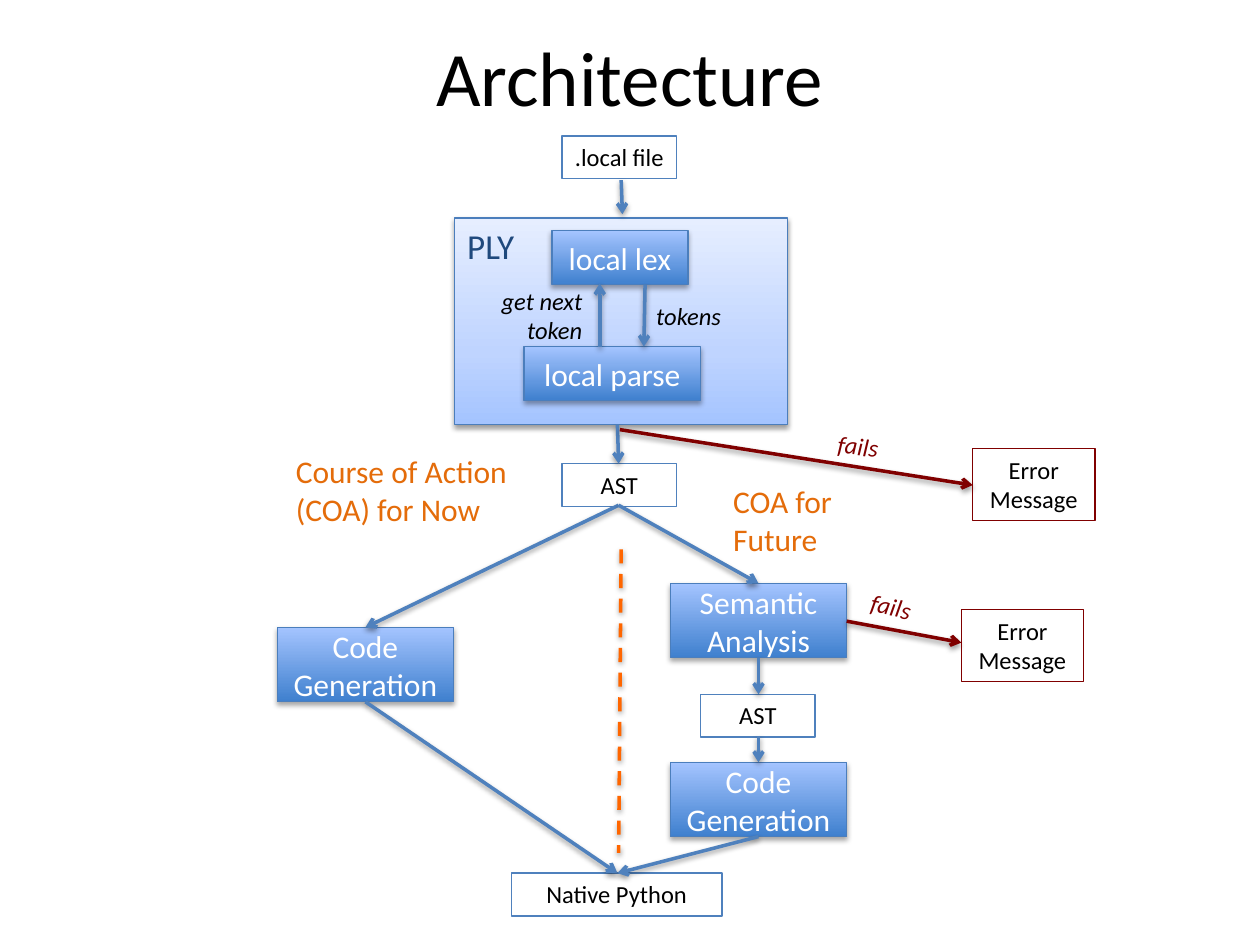
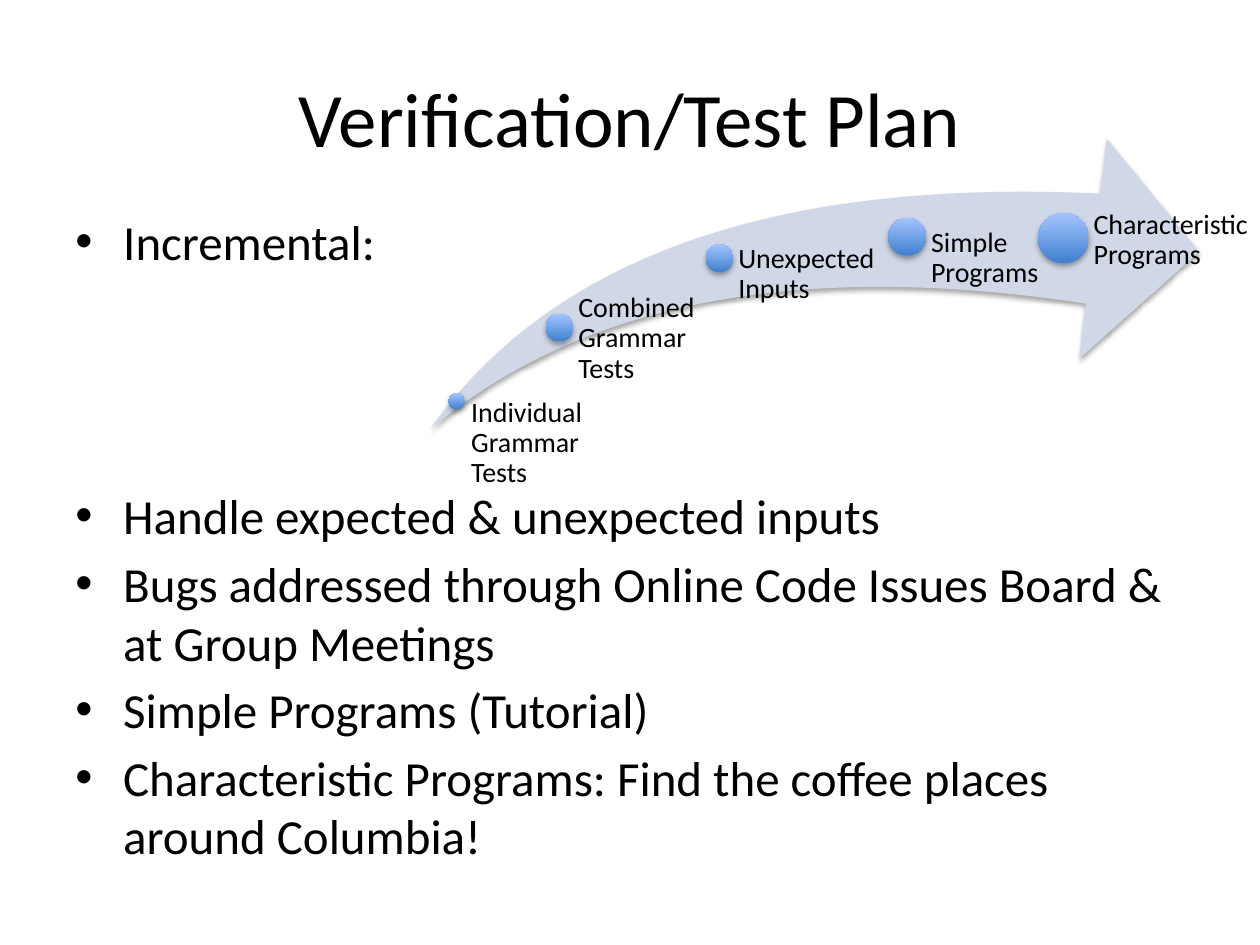
from dataclasses import dataclass

from lxml.etree import SubElement
from pptx import Presentation
from pptx.dml.color import RGBColor
from pptx.enum.dml import MSO_LINE
from pptx.enum.shapes import MSO_CONNECTOR, MSO_SHAPE
from pptx.enum.text import MSO_ANCHOR as ANCHOR, MSO_AUTO_SIZE, PP_ALIGN as ALIGN
from pptx.oxml.ns import qn
from pptx.util import Inches, Pt


@dataclass(frozen=True)
class Theme:
    font: str = "Calibri"
    black: str = "000000"
    white: str = "FFFFFF"
    navy: str = "1F497D"
    blue: str = "4F81BD"
    edge: str = "4B7EBC"
    red: str = "800000"
    orange: str = "E46C0A"
    divider: str = "FF6600"
    swoosh: str = "D0D8E8"
    deep: tuple = ((0, "3F80CE"), (100, "A4C4FF"))
    pale: tuple = ((0, "A4C4FF"), (35, "BFD4FF"), (100, "E6EEFF"))
    title: int = 44
    bullet: int = 28
    panel: int = 20
    step: int = 18
    stage: int = 16
    note: int = 14
    thin: float = 0.75
    thick: float = 2
    soft_shadow: tuple = (38, 1.6)    # opacity %, distance in points
    box_shadow: tuple = (35, 1.8)


THEME = Theme()


class Builder:
    """Holds the theme, the deck and the page being drawn."""

    def __init__(self, theme):
        self.theme = theme
        self.deck = Presentation()
        self.deck.slide_width, self.deck.slide_height = Inches(10), Inches(7.5)
        self.page = None

    def new_page(self, title, top, height):
        self.page = self.deck.slides.add_slide(self.deck.slide_layouts[6])
        self.label((0.5, top, 9, height), [title], size=self.theme.title,
                   align=ALIGN.CENTER, anchor=ANCHOR.MIDDLE, grow=False)

    # Text
    def set_text(self, shape, lines, size, color, align=ALIGN.LEFT,
                 anchor=ANCHOR.TOP, italic=False, spacing=None):
        frame = shape.text_frame
        frame.word_wrap = True
        frame.vertical_anchor = anchor
        for number, line in enumerate(lines):
            para = frame.add_paragraph() if number else frame.paragraphs[0]
            para.alignment = align
            para.line_spacing = spacing
            span = para.add_run()
            span.text = line
            span.font.name = self.theme.font
            span.font.size = Pt(size)
            span.font.italic = italic
            span.font.color.rgb = RGBColor.from_string(color)
        return frame

    def label(self, place, lines, size, color=THEME.black, turn=0,
              grow=True, **style):
        box = self.page.shapes.add_textbox(*map(Inches, place))
        box.rotation = turn
        frame = self.set_text(box, lines, size, color, **style)
        if grow:
            frame.auto_size = MSO_AUTO_SIZE.SHAPE_TO_FIT_TEXT
        return frame

    def bullets(self, place, lines, gaps):
        frame = self.label(place, lines, self.theme.bullet, grow=False)
        for para, gap in zip(frame.paragraphs, gaps):
            para.space_before = Pt(gap)
            props = para._p.get_or_add_pPr()
            props.set("marL", str(Inches(0.38)))
            props.set("indent", str(Inches(-0.38)))
            SubElement(props, qn("a:buFont")).set("typeface", "Arial")
            SubElement(props, qn("a:buChar")).set("char", "\u2022")

    # Shapes
    def shape(self, kind, place, fill=None, line=None, shadow=None, turn=0):
        box = self.page.shapes.add_shape(kind, *map(Inches, place))
        box.rotation = turn
        box.shadow.inherit = False
        if fill is None:
            box.fill.background()
        elif isinstance(fill, str):
            box.fill.solid()
            box.fill.fore_color.rgb = RGBColor.from_string(fill)
        else:
            self.gradient(box, fill)
        if line:
            box.line.color.rgb = RGBColor.from_string(line)
            box.line.width = Pt(self.theme.thin)
        else:
            box.line.fill.background()
        if shadow:
            self.cast_shadow(box, shadow)
        return box

    def gradient(self, box, colors):
        box.fill.gradient()
        box.fill.gradient_angle = 90
        stops = box.element.spPr.find(".//" + qn("a:gsLst"))
        stops.clear()
        for position, color in colors:
            stop = SubElement(stops, qn("a:gs"), pos=str(position * 1000))
            SubElement(stop, qn("a:srgbClr"), val=color)

    def cast_shadow(self, item, shadow):
        opacity, distance = shadow
        props = item.element.spPr
        effects = props.find(qn("a:effectLst"))
        if effects is None:
            effects = SubElement(props, qn("a:effectLst"))
        outer = SubElement(effects, qn("a:outerShdw"), blurRad=str(Pt(3.1)),
                           dist=str(Pt(distance)), dir="5400000", rotWithShape="0")
        color = SubElement(outer, qn("a:srgbClr"), val=self.theme.black)
        SubElement(color, qn("a:alpha"), val=str(opacity * 1000))

    def panel(self, place, text):
        box = self.shape(MSO_SHAPE.RECTANGLE, place, self.theme.pale,
                         self.theme.edge, self.theme.soft_shadow)
        self.set_text(box, [text], self.theme.panel, self.theme.navy)

    def step(self, left, top, text, width=1.4, height=0.59):
        box = self.shape(MSO_SHAPE.RECTANGLE, (left, top, width, height),
                         self.theme.deep, self.theme.edge, self.theme.box_shadow)
        self.set_text(box, [text], self.theme.step, self.theme.white,
                      ALIGN.CENTER, ANCHOR.MIDDLE)

    def outcome(self, left, top, text, width=0.91, height=0.34, line=THEME.blue):
        box = self.shape(MSO_SHAPE.RECTANGLE, (left, top, width, height), line=line)
        frame = self.set_text(box, [text], self.theme.note, self.theme.black,
                              ALIGN.CENTER)
        frame.auto_size = MSO_AUTO_SIZE.SHAPE_TO_FIT_TEXT

    def dot(self, left, top, size):
        self.shape(MSO_SHAPE.OVAL, (left, top, size, size), self.theme.deep,
                   shadow=self.theme.box_shadow)

    # Lines
    def connect(self, start, end, color=THEME.blue, dashed=False):
        link = self.page.shapes.add_connector(
            MSO_CONNECTOR.STRAIGHT, *map(Inches, start + end))
        link.line.color.rgb = RGBColor.from_string(color)
        link.line.width = Pt(self.theme.thick)
        if dashed:
            link.line.dash_style = MSO_LINE.DASH
        else:
            stroke = link.element.spPr.find(qn("a:ln"))
            SubElement(stroke, qn("a:tailEnd"), type="arrow")
        self.cast_shadow(link, self.theme.soft_shadow)


def architecture(show):
    show.new_page("Architecture", 0.11, 0.98)

    # Lexer and parser panel
    show.panel((3.61, 1.73, 2.64, 1.64), "PLY")
    show.step(4.38, 1.83, "local lex", 1.08, 0.43)
    show.step(4.16, 2.75, "local parse", height=0.43)
    show.connect((5.12, 2.26), (5.11, 2.75))
    show.connect((4.76, 2.75), (4.76, 2.25))
    show.label((5.11, 2.34, 0.91, 0.34), ["tokens"], THEME.note, italic=True)
    show.label((3.7, 2.22, 1.02, 0.57), ["get next token"], THEME.note,
               italic=True, align=ALIGN.RIGHT)

    # Inputs, results and processing steps
    show.outcome(4.46, 1.08, ".local file")
    show.outcome(4.46, 3.68, "AST")
    show.outcome(5.56, 5.51, "AST")
    show.outcome(4.06, 6.93, "Native Python", 1.67)
    show.step(2.2, 4.98, "Code Generation")
    show.step(5.32, 4.63, "Semantic Analysis")
    show.step(5.32, 6.05, "Code Generation")

    # Flow, through the points where branches meet
    tree, result = (4.91, 4.01), (4.9, 6.93)
    middle = 6.02
    for start, end in (
        ((4.93, 1.43), (4.94, 1.7)),
        ((4.9, 3.37), (4.91, 3.68)),
        (tree, (2.9, 4.98)),
        ((2.9, 5.57), result),
        (tree, (middle, 4.63)),
        ((middle, 5.22), (middle, 5.51)),
        ((middle, 5.84), (middle, 6.05)),
        ((middle, 6.64), result),
    ):
        show.connect(start, end)

    # Present and future courses of action
    show.connect((4.93, 4.36), (4.91, 6.77), THEME.divider, dashed=True)
    show.label((2.25, 3.54, 1.93, 0.71), ["Course of Action (COA) for Now"],
               THEME.step, THEME.orange)
    show.label((5.72, 3.78, 2, 0.71), ["COA for", "Future"],
               THEME.step, THEME.orange)

    # Failures
    for start, end, box_top, note_at, turn in (
        ((4.92, 3.41), (7.72, 3.85), 3.56, (6.55, 3.39), 6.5),
        ((6.72, 4.93), (7.63, 5.1), 4.84, (6.81, 4.68), 12.5),
    ):
        show.connect(start, end, THEME.red)
        show.outcome(end[0], box_top, "Error Message", 0.97, 0.57, THEME.red)
        show.label(note_at + (0.84, 0.34), ["fails"], THEME.note, THEME.red,
                   turn, italic=True)


def test_plan(show):
    show.new_page("Verification/Test Plan", 0.3, 1.25)

    # The wide gap after the first bullet leaves room for the swoosh
    show.bullets((0.5, 1.63, 9, 5.44), [
        "Incremental:",
        "Handle expected & unexpected inputs",
        "Bugs addressed through Online Code Issues Board & at Group Meetings",
        "Simple Programs (Tutorial)",
        "Characteristic Programs: Find the coffee places around Columbia!",
    ], gaps=(0, 123, 5, 5, 5))

    # Swoosh with growing stages
    arrow = show.shape(MSO_SHAPE.SWOOSH_ARROW, (3.75, 0.61, 5.6, 3.5),
                       THEME.swoosh, shadow=THEME.box_shadow, turn=13.6)
    arrow.adjustments[0] = arrow.adjustments[1] = 0.25
    for text, dot, place, inset in (
        ("Individual Grammar Tests", (3.56, 3.12, 0.13), (3.67, 3.16, 0.96, 0.83), 0.07),
        ("Combined Grammar Tests", (4.33, 2.49, 0.22), (4.47, 2.33, 1.18, 1.6), 0.12),
        ("Unexpected Inputs", (5.6, 1.94, 0.22), (5.65, 1.94, 1.77, 2.33), 0.21),
        ("Simple Programs", (7.05, 1.73, 0.3), (7.23, 1.81, 1.18, 1.79), 0.16),
        ("Characteristic Programs", (8.24, 1.69, 0.4), (8.47, 1.67, 1.77, 2.05), 0.21),
    ):
        show.dot(*dot)
        frame = show.label(place, [text], THEME.stage, grow=False, spacing=0.9)
        frame.margin_left = Inches(inset)
        frame.margin_top = frame.margin_right = frame.margin_bottom = 0


show = Builder(THEME)
architecture(show)
test_plan(show)
show.deck.save("out.pptx")
